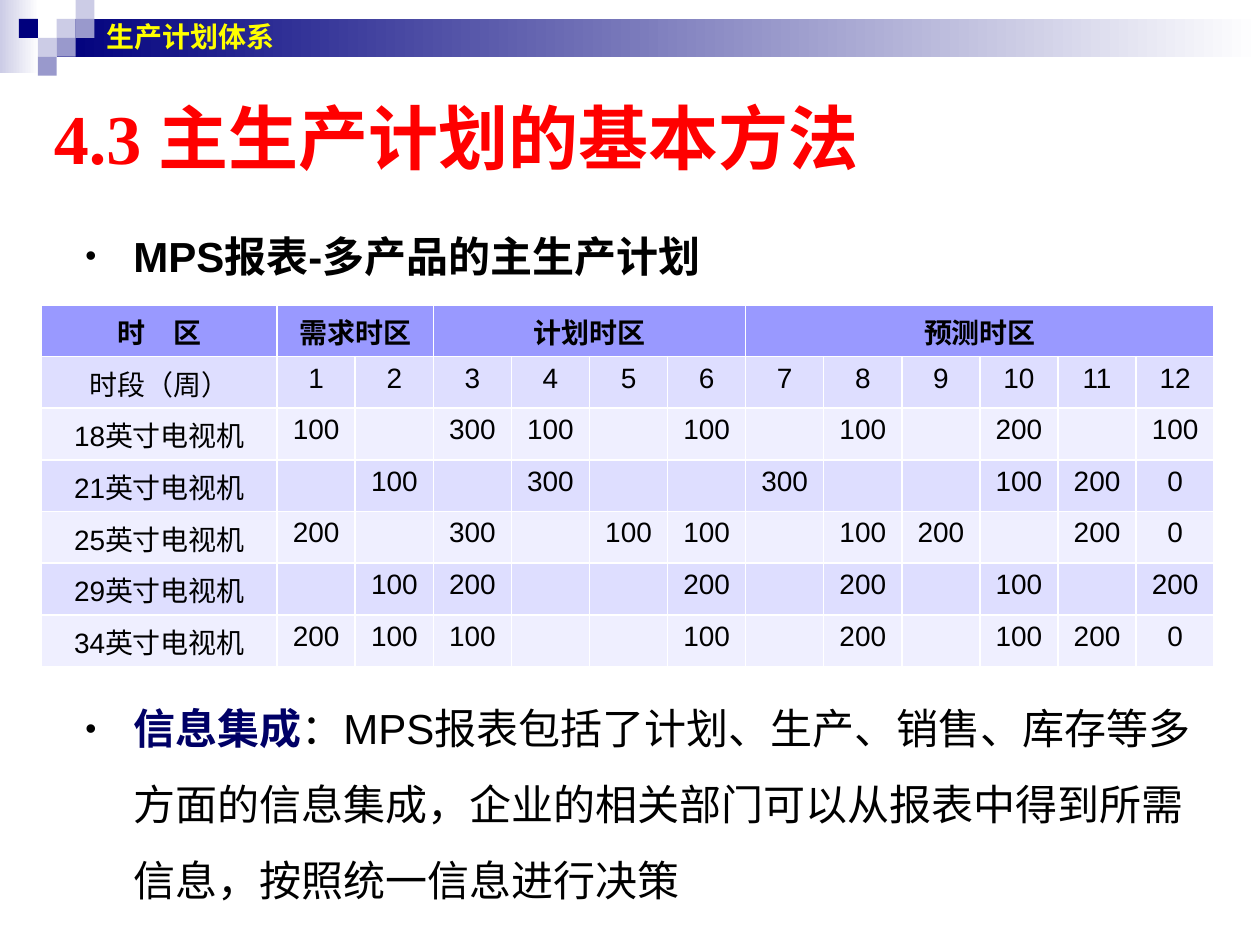
from lxml import etree
from pptx import Presentation
from pptx import util as u
from pptx.dml.color import RGBColor
from pptx.enum import shapes, text
from pptx.oxml.ns import qn

COLOURS = {
    "navy": "00007D", "pale": "CCCCE6", "mid": "9999CC", "white": "FFFFFF",
    "red": "FF0000", "yellow": "FFFF00", "black": "000000", "term": "000066",
    "header": "9999FF", "odd": "DEDEFF", "even": "EFEFFF",
}
WIDTH, HEIGHT = 10, 7.5
TILE = 0.15

BANDS = [((0, 0, 0.31, 0.58), "pale"), ((3 * TILE, TILE, WIDTH - 3 * TILE, 2 * TILE), "navy")]
TILES = [(3, 1, "pale"), (4, 0, "pale"), (4, 1, "mid"), (2, 2, "pale"),
         (1, 1, "navy"), (3, 2, "mid"), (2, 3, "mid")]

CHAPTER = [("生产计划体系", 16, "Arial", "yellow", True)]
TITLE = [("4.3 主生产计划的基本方法", 40, "Times New Roman", "red", True)]
REPORT = [("MPS报表-多产品的主生产计划", 24, "Arial", "black", True)]
INTEGRATION = [
    ("信息集成", 24, "Arial", "term", True),
    ("：MPS报表包括了计划、生产、销售、库存等多方面的信息集成，"
     "企业的相关部门可以从报表中得到所需信息，按照统一信息进行决策", 24, "Arial", "black", False),
]

ZONES = [("时　区", 1), ("需求时区", 2), ("计划时区", 4), ("预测时区", 6)]
WEEKS = 12
PLAN = [
    ("时段（周）", {week: week for week in range(1, WEEKS + 1)}),
    ("18英寸电视机", {1: 100, 3: 300, 4: 100, 6: 100, 8: 100, 10: 200, 12: 100}),
    ("21英寸电视机", {2: 100, 4: 300, 7: 300, 10: 100, 11: 200, 12: 0}),
    ("25英寸电视机", {1: 200, 3: 300, 5: 100, 6: 100, 8: 100, 9: 200, 11: 200, 12: 0}),
    ("29英寸电视机", {2: 100, 3: 200, 6: 200, 8: 200, 10: 100, 12: 200}),
    ("34英寸电视机", {1: 200, 2: 100, 3: 100, 6: 100, 8: 200, 10: 100, 11: 200, 12: 0}),
]
NAME_WIDTH, WEEK_WIDTH, ROW_HEIGHT = 1.87, 0.62, 0.41


def rgb(name):
    return RGBColor.from_string(COLOURS[name])


def inches(box):
    return [u.Inches(length) for length in box]


def add_rect(slide, box, colour, fades=False):
    rect = slide.shapes.add_shape(shapes.MSO_SHAPE.RECTANGLE, *inches(box))
    rect.shadow.inherit = False
    rect.line.fill.background()
    if fades:
        rect.fill.gradient()
        rect.fill.gradient_angle = 0
        for stop, shade in zip(rect.fill.gradient_stops, (colour, "white")):
            stop.color.rgb = rgb(shade)
    else:
        rect.fill.solid()
        rect.fill.fore_color.rgb = rgb(colour)


def add_runs(paragraph, runs):
    for words, size, face, colour, bold in runs:
        run = paragraph.add_run()
        run.text = words
        run.font.size = u.Pt(size)
        run.font.name = face
        run.font.bold = bold
        run.font.color.rgb = rgb(colour)


def add_bullet(paragraph):
    paragraph.line_spacing = 1.5
    props = paragraph._p.get_or_add_pPr()
    props.set("marL", str(u.Inches(0.38)))
    props.set("indent", str(-u.Inches(0.38)))
    bullet_colour = etree.SubElement(props, qn("a:buClr"))
    etree.SubElement(bullet_colour, qn("a:srgbClr"), val=COLOURS["black"])
    etree.SubElement(props, qn("a:buSzPct"), val="75000")
    etree.SubElement(props, qn("a:buFont"), typeface="Arial")
    etree.SubElement(props, qn("a:buChar"), char="•")


def add_text(slide, box, runs, bulleted=False):
    frame = slide.shapes.add_textbox(*inches(box)).text_frame
    frame.word_wrap = True
    frame.vertical_anchor = text.MSO_ANCHOR.TOP if bulleted else text.MSO_ANCHOR.MIDDLE
    paragraph = frame.paragraphs[0]
    if bulleted:
        add_bullet(paragraph)
    add_runs(paragraph, runs)


def fill_cell(cell, words, colour, bold=False):
    cell.fill.solid()
    cell.fill.fore_color.rgb = rgb(colour)
    paragraph = cell.text_frame.paragraphs[0]
    paragraph.alignment = text.PP_ALIGN.CENTER
    if words:
        add_runs(paragraph, [(words, 16, "Arial", "black", bold)])


def add_schedule(slide, left, top):
    rows = len(PLAN) + 1
    box = (left, top, NAME_WIDTH + WEEKS * WEEK_WIDTH, rows * ROW_HEIGHT)
    schedule = slide.shapes.add_table(rows, WEEKS + 1, *inches(box)).table
    for index, column in enumerate(schedule.columns):
        column.width = u.Inches(WEEK_WIDTH if index else NAME_WIDTH)
    start = 0
    for zone, span in ZONES:
        cell = schedule.cell(0, start)
        if span > 1:
            cell.merge(schedule.cell(0, start + span - 1))
        fill_cell(cell, zone, "header", bold=True)
        start += span
    for row, (name, amounts) in enumerate(PLAN, 1):
        shade = "odd" if row % 2 else "even"
        fill_cell(schedule.cell(row, 0), name, shade)
        for week in range(1, WEEKS + 1):
            fill_cell(schedule.cell(row, week), str(amounts.get(week, "")), shade)


def main():
    deck = Presentation()
    deck.slide_width, deck.slide_height = inches((WIDTH, HEIGHT))
    slide = deck.slides.add_slide(deck.slide_layouts[6])
    for box, colour in BANDS:
        add_rect(slide, box, colour, fades=True)
    for column, row, colour in TILES:
        add_rect(slide, (column * TILE, row * TILE, TILE, TILE), colour)
    add_text(slide, (0.33, 0.75, 9, 0.67), TITLE)
    add_text(slide, (0.58, 1.58, 9, 0.67), REPORT, bulleted=True)
    add_text(slide, (0.75, 0, 8.83, 0.58), CHAPTER)
    add_text(slide, (0.58, 5.33, 9, 2.08), INTEGRATION, bulleted=True)
    add_schedule(slide, 0.33, 2.42)
    deck.save("out.pptx")


if __name__ == "__main__":
    main()
